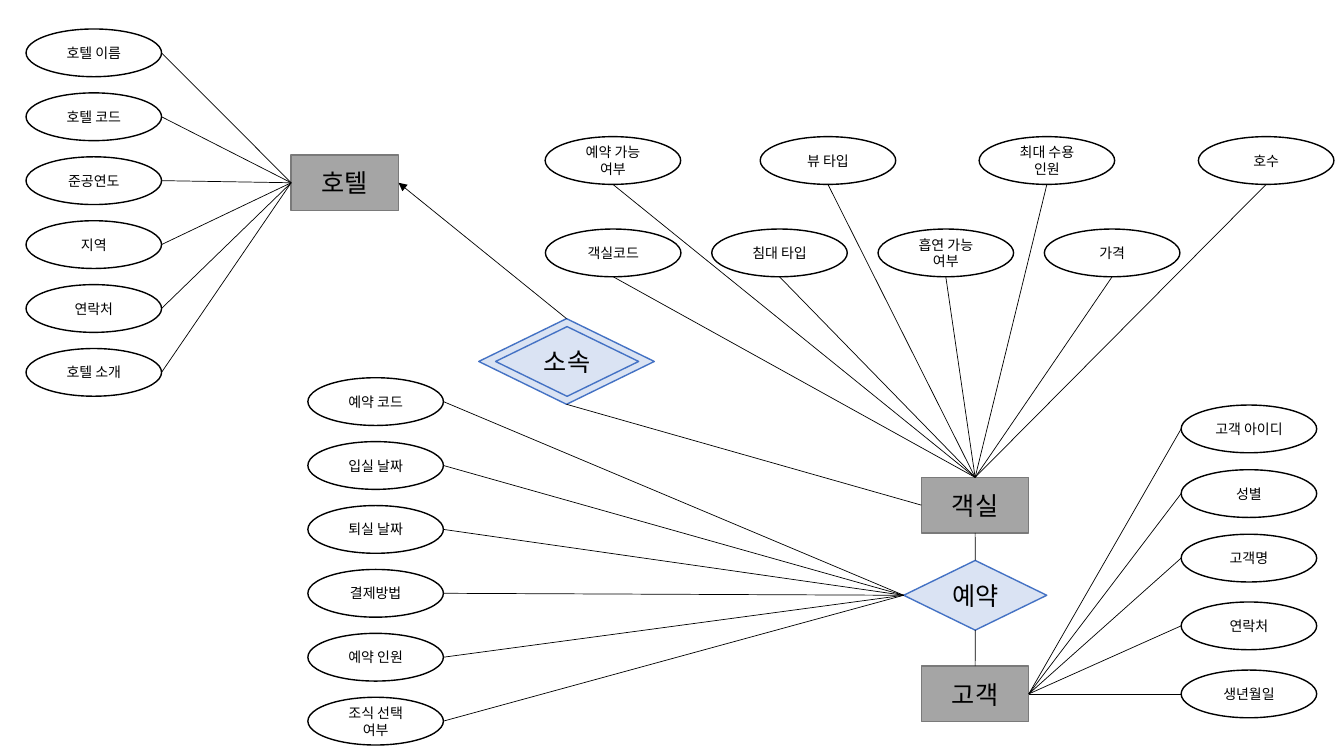
from lxml import etree
from pptx import Presentation
from pptx.dml.color import RGBColor
from pptx.enum import shapes, text
from pptx.oxml import ns
from pptx.util import Pt

FONT = "Noto Sans CJK KR"
COLORS = {
    "ink": "000000",
    "entity": "A5A5A5",
    "entity_edge": "7A7A7A",
    "relation": "DAE3F3",
    "relation_edge": "4472C4",
}
KIND = shapes.MSO_SHAPE
TOP, LEFT, BOTTOM, RIGHT = range(4)  # connection sites of boxes and diamonds

ATTR_W, ATTR_H = 96.8, 34.1
ENTITY_W, ENTITY_H = 76.7, 39.7
RELATION_W, RELATION_H = 102.2, 49.8
STEP_Y = 45.65  # between stacked attributes


def rgb(name):
    return RGBColor.from_string(COLORS[name])


def add_node(s, kind, label, box, size, fill=None, edge="ink"):
    sp = s.shapes.add_shape(kind, *[Pt(v) for v in box])
    sp.shadow.inherit = False
    if fill:
        sp.fill.solid()
        sp.fill.fore_color.rgb = rgb(fill)
    else:
        sp.fill.background()
    sp.line.color.rgb = rgb(edge)
    sp.line.width = Pt(1)
    if label:
        add_label(sp, label, size)
    return sp


def add_label(sp, label, size):
    tf = sp.text_frame
    tf.word_wrap = True
    tf.vertical_anchor = text.MSO_ANCHOR.MIDDLE
    p = tf.paragraphs[0]
    p.alignment = text.PP_ALIGN.CENTER
    r = p.add_run()
    r.text = label
    r.font.size = Pt(size)
    r.font.name = FONT
    r.font.color.rgb = rgb("ink")
    ea = etree.SubElement(r.font._element, ns.qn("a:ea"))
    ea.set("typeface", FONT)


def add_entity(s, label, x, y):
    return add_node(s, KIND.RECTANGLE, label, (x, y, ENTITY_W, ENTITY_H), 18,
                    "entity", "entity_edge")


def add_relation(s, label, x, y, w=RELATION_W, h=RELATION_H):
    return add_node(s, KIND.DIAMOND, label, (x, y, w, h), 18,
                    "relation", "relation_edge")


def add_link(s, start, start_site, end_point):
    cx = s.shapes.add_connector(shapes.MSO_CONNECTOR.STRAIGHT, 0, 0, *end_point)
    cx.begin_connect(start, start_site)
    cx.line.color.rgb = rgb("ink")
    cx.line.width = Pt(0.5)
    etree.SubElement(cx._element.spPr, ns.qn("a:effectLst"))
    return cx


def join(s, start, start_site, end, end_site):
    cx = add_link(s, start, start_site, (0, 0))
    cx.end_connect(end, end_site)
    return cx


def add_arrowhead(cx):
    tail = etree.SubElement(cx.line._get_or_add_ln(), ns.qn("a:tailEnd"))
    tail.set("type", "triangle")


def add_attributes(s, hub, hub_site, side, attributes):
    """Draw (label, x, y) ellipses, each linked to the hub from the given side."""
    dx, dy = {LEFT: (0, 0.5), RIGHT: (1, 0.5), BOTTOM: (0.5, 1)}[side]
    for label, x, y in attributes:
        add_node(s, KIND.OVAL, label, (x, y, ATTR_W, ATTR_H), 10)
        add_link(s, hub, hub_site, (Pt(x + dx * ATTR_W), Pt(y + dy * ATTR_H)))


def stack(labels, x, y):
    return [(label, x, y + i * STEP_Y) for i, label in enumerate(labels)]


def main():
    prs = Presentation()
    prs.slide_width, prs.slide_height = Pt(960), Pt(540)
    s = prs.slides.add_slide(prs.slide_layouts[6])

    # Entities
    hotel = add_entity(s, "호텔", 208, 110.7)
    room = add_entity(s, "객실", 658.2, 341)
    guest = add_entity(s, "고객", 658.2, 475.8)

    # Relations; membership is a double diamond
    membership = add_relation(s, "", 342, 227.6, 125.4, 61.2)
    add_relation(s, "소속", 354, 233.3)
    booking = add_relation(s, "예약", 645.5, 400.3)

    # Links between entities and relations
    add_arrowhead(join(s, membership, TOP, hotel, RIGHT))
    join(s, membership, BOTTOM, room, LEFT)
    join(s, booking, TOP, room, BOTTOM)
    join(s, booking, BOTTOM, guest, TOP)

    # Hotel and booking attributes
    add_attributes(s, hotel, LEFT, RIGHT, stack(
        ["호텔 이름", "호텔 코드", "준공연도", "지역", "연락처", "호텔 소개"],
        18.6, 20.7))
    add_attributes(s, booking, LEFT, RIGHT, stack(
        ["예약 코드", "입실 날짜", "퇴실 날짜", "결제방법", "예약 인원",
         "조식 선택 여부"], 219.9, 269.8))

    # Room attributes in two rows
    upper_row = [("예약 가능 여부", 389.4), ("뷰 타입", 543),
                 ("최대 수용 인원", 699.4), ("호수", 856)]
    lower_row = ["객실코드", "침대 타입", "흡연 가능 여부", "가격"]
    add_attributes(s, room, TOP, BOTTOM,
                   [(label, x, 97.6) for label, x in upper_row])
    add_attributes(s, room, TOP, BOTTOM,
                   [(label, 389.6 + i * 118.8, 163.6)
                    for i, label in enumerate(lower_row)])

    # Guest attributes
    guest_rows = [("고객 아이디", 289.3), ("성별", 335.5), ("고객명", 381.6),
                  ("연락처", 430), ("생년월일", 478.6)]
    add_attributes(s, guest, RIGHT, LEFT,
                   [(label, 843.7, y) for label, y in guest_rows])

    prs.save("out.pptx")


if __name__ == "__main__":
    main()
